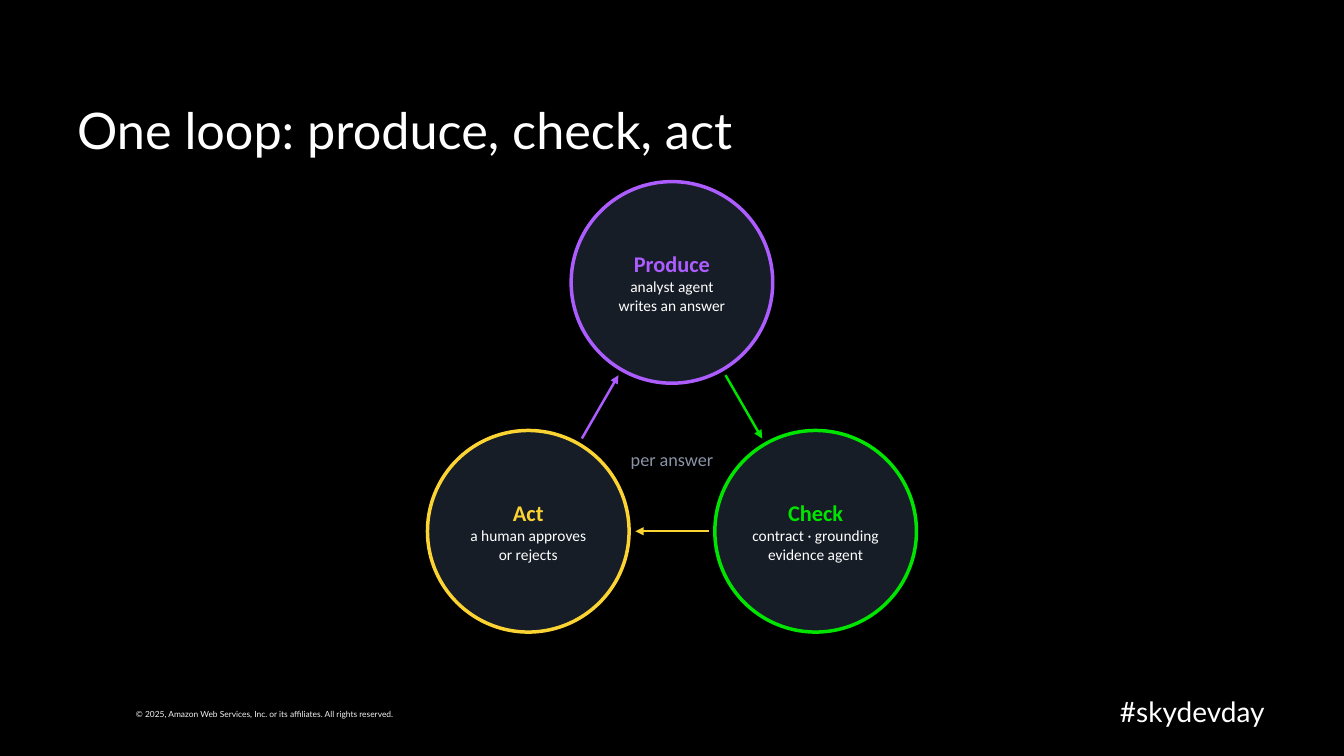
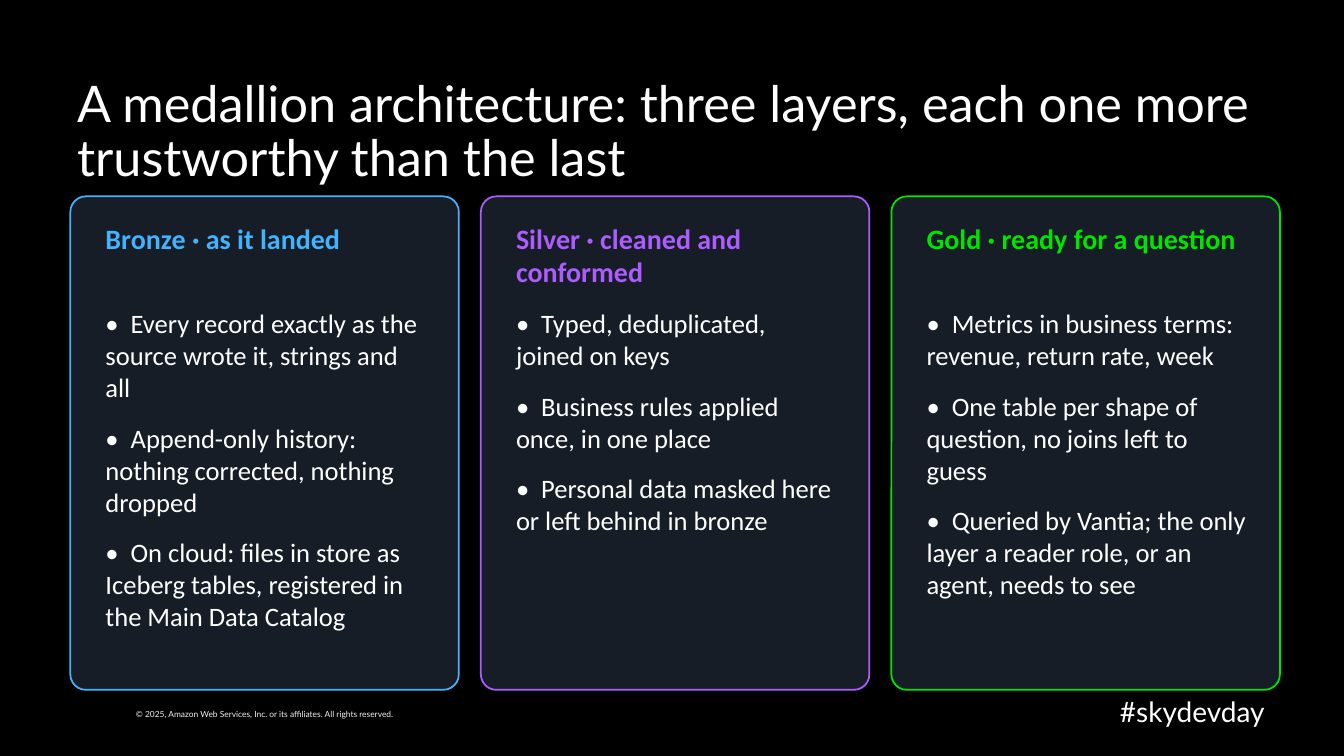
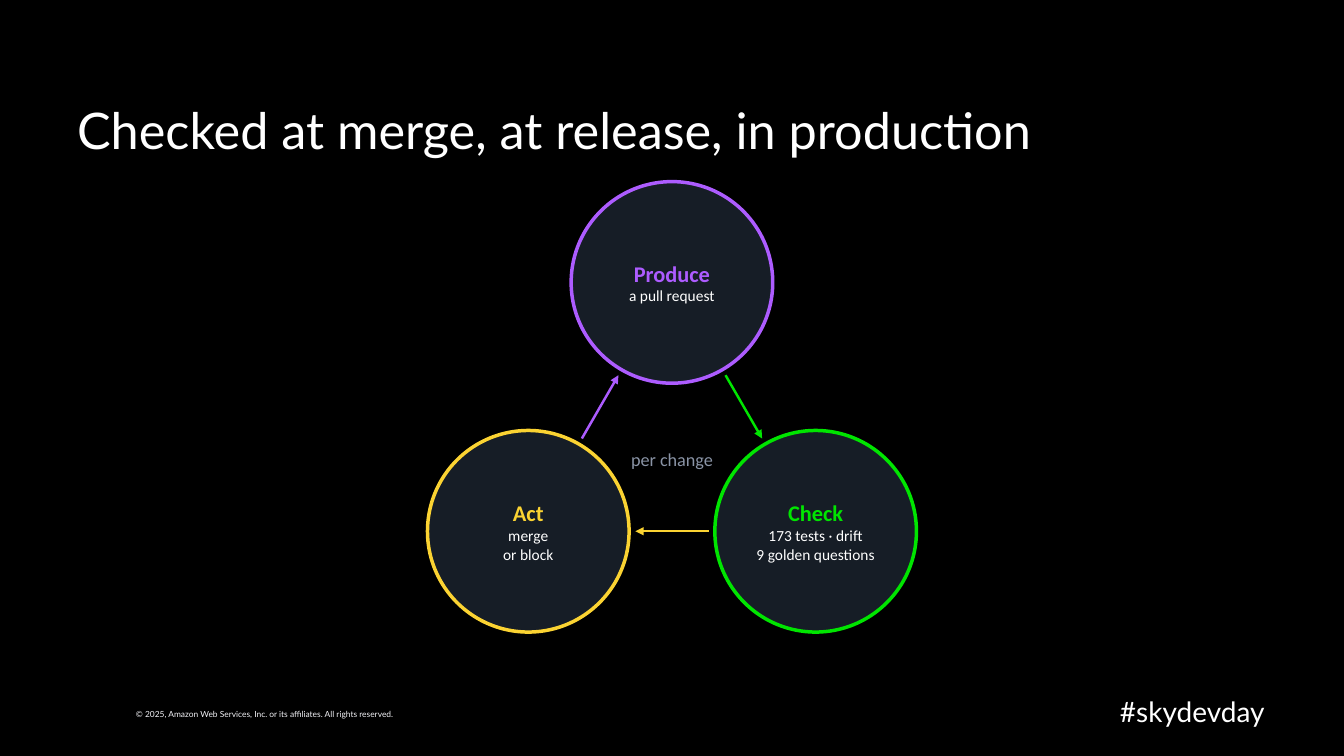
"""Build three dark slides: two produce-check-act loops and one medallion architecture."""
from dataclasses import dataclass
from math import cos, radians, sin

from lxml.etree import SubElement
from pptx import Presentation
from pptx.dml.color import RGBColor
from pptx.enum.shapes import MSO_CONNECTOR as CONN, MSO_SHAPE as SHAPE
from pptx.enum.text import MSO_ANCHOR as ANCHOR, PP_ALIGN as ALIGN
from pptx.oxml.ns import qn
from pptx.util import Emu, Pt

PX = 9525
LATO, CALIBRI = "Lato", "Calibri"
BLACK, WHITE, PANEL = "000000", "FFFFFF", "161D26"
PURPLE, GREEN, YELLOW, BLUE = "AD5CFF", "00E500", "FBD332", "41B3FF"
PALE, GREY = "F3F3F7", "8A94A6"

CENTER_X, CENTER_Y = 640, 427
RING, RADIUS, REACH = 158, 96, 102
CARD_LEFT, CARD_TOP, CARD_W, CARD_H, CARD_GAP = 67, 187, 370, 470, 21
CARD_PAD, BULLET_TAB = 24, 24


@dataclass(frozen=True)
class Stage:
    name: str
    color: str
    angle: int


@dataclass(frozen=True)
class Loop:
    title: str
    caption: str
    details: tuple[tuple[str, ...], ...]


@dataclass(frozen=True)
class Layer:
    heading: str
    color: str
    points: tuple[str, ...]


STAGES = (Stage("Produce", PURPLE, -90), Stage("Check", GREEN, 30), Stage("Act", YELLOW, 150))

ANSWER_LOOP = Loop(
    "One loop: produce, check, act",
    "per answer",
    (
        ("analyst agent", "writes an answer"),
        ("contract · grounding", "evidence agent"),
        ("a human approves", "or rejects"),
    ),
)
CHANGE_LOOP = Loop(
    "Checked at merge, at release, in production",
    "per change",
    (
        ("a pull request",),
        ("173 tests · drift", "9 golden questions"),
        ("merge", "or block"),
    ),
)
LAYERS = (
    Layer("Bronze · as it landed", BLUE, (
        "Every record exactly as the source wrote it, strings and all",
        "Append-only history: nothing corrected, nothing dropped",
        "On cloud: files in store as Iceberg tables, registered in the Main Data Catalog",
    )),
    Layer("Silver · cleaned and conformed", PURPLE, (
        "Typed, deduplicated, joined on keys",
        "Business rules applied once, in one place",
        "Personal data masked here or left behind in bronze",
    )),
    Layer("Gold · ready for a question", GREEN, (
        "Metrics in business terms: revenue, return rate, week",
        "One table per shape of question, no joins left to guess",
        "Queried by Vantia; the only layer a reader role, or an agent, needs to see",
    )),
)


def px(n: float) -> Emu:
    return Emu(round(n * PX))


def rgb(color: str) -> RGBColor:
    return RGBColor.from_string(color)


def add_run(p, text: str, *, size: int, color: str, font: str = CALIBRI, bold: bool = False) -> None:
    r = p.add_run()
    r.text = text
    r.font.name, r.font.size, r.font.bold = font, Pt(size), bold
    r.font.color.rgb = rgb(color)


def add_text(s, box: tuple[int, int, int, int], text: str, *, align=ALIGN.LEFT,
             anchor=ANCHOR.TOP, spacing: float = 1.0, **fmt) -> None:
    tf = s.shapes.add_textbox(*map(px, box)).text_frame
    tf.word_wrap = True
    tf.vertical_anchor = anchor
    p = tf.paragraphs[0]
    p.alignment, p.line_spacing = align, spacing
    add_run(p, text, **fmt)


def add_bullets(s, box: tuple[int, int, int, int], points: tuple[str, ...]) -> None:
    tf = s.shapes.add_textbox(*map(px, box)).text_frame
    tf.word_wrap = True
    for i, point in enumerate(points):
        p = tf.add_paragraph() if i else tf.paragraphs[0]
        tabs = SubElement(p._p.get_or_add_pPr(), qn("a:tabLst"))
        SubElement(tabs, qn("a:tab"), pos=str(px(BULLET_TAB)), algn="l")
        if i:
            p.space_before = Pt(13.3)
        add_run(p, f"•\t{point}", size=19, color=WHITE)


def add_panel(s, kind, box: tuple[float, float, float, float], color: str, width: float):
    sp = s.shapes.add_shape(kind, *map(px, box))
    sp.shadow.inherit = False
    sp.fill.solid()
    sp.fill.fore_color.rgb = rgb(PANEL)
    sp.line.color.rgb = rgb(color)
    sp.line.width = Pt(width)
    return sp


def add_arrow(s, start: tuple[float, float], end: tuple[float, float], color: str) -> None:
    c = s.shapes.add_connector(CONN.STRAIGHT, *map(px, (*start, *end)))
    c.line.color.rgb = rgb(color)
    c.line.width = Pt(1.75)
    SubElement(c.line._get_or_add_ln(), qn("a:tailEnd"), type="triangle")
    SubElement(c._element.spPr, qn("a:effectLst"))


def add_slide(prs, title: str):
    s = prs.slides.add_slide(prs.slide_layouts[6])
    add_text(s, (120, 671, 277, 19),
             "© 2025, Amazon Web Services, Inc. or its affiliates. All rights reserved.",
             size=6, color=PALE, font=LATO)
    add_text(s, (62, 660, 1152, 38), "#skydevday", align=ALIGN.RIGHT, spacing=0.9,
             size=20, color=WHITE, font=LATO)
    add_text(s, (64, 96, 1152, 62), title, anchor=ANCHOR.MIDDLE, spacing=0.9,
             size=36, color=WHITE, font=LATO)
    return s


def stage_center(stage: Stage) -> tuple[float, float]:
    a = radians(stage.angle)
    return CENTER_X + RING * cos(a), CENTER_Y + RING * sin(a)


def add_stage(s, stage: Stage, details: tuple[str, ...]) -> None:
    x, y = stage_center(stage)
    sp = add_panel(s, SHAPE.OVAL, (x - RADIUS, y - RADIUS, 2 * RADIUS, 2 * RADIUS), stage.color, 2.5)
    tf = sp.text_frame
    tf.word_wrap = True
    tf.vertical_anchor = ANCHOR.MIDDLE
    tf.margin_left = tf.margin_right = tf.margin_top = tf.margin_bottom = px(5)
    p = tf.paragraphs[0]
    p.alignment = ALIGN.CENTER
    add_run(p, stage.name, size=16, color=stage.color, bold=True)
    for detail in details:
        p = tf.add_paragraph()
        p.alignment = ALIGN.CENTER
        add_run(p, detail, size=11, color=WHITE)


def add_loop_slide(prs, loop: Loop) -> None:
    s = add_slide(prs, loop.title)
    for stage, details in zip(STAGES, loop.details):
        add_stage(s, stage, details)
    for stage, target in zip(STAGES, STAGES[1:] + STAGES[:1]):
        (x1, y1), (x2, y2) = stage_center(stage), stage_center(target)
        k = REACH / (RING * 3 ** 0.5)
        dx, dy = k * (x2 - x1), k * (y2 - y1)
        add_arrow(s, (x1 + dx, y1 + dy), (x2 - dx, y2 - dy), target.color)
    add_text(s, (544, 422, 192, 38), loop.caption, align=ALIGN.CENTER, size=13, color=GREY)


def add_layers_slide(prs) -> None:
    s = add_slide(prs, "A medallion architecture: three layers, each one more trustworthy than the last")
    for i, layer in enumerate(LAYERS):
        x = CARD_LEFT + i * (CARD_W + CARD_GAP)
        card = add_panel(s, SHAPE.ROUNDED_RECTANGLE, (x, CARD_TOP, CARD_W, CARD_H), layer.color, 1.25)
        card.adjustments[0] = 0.04
        add_text(s, (x + CARD_PAD, 206, 326, 86), layer.heading, size=20, color=layer.color, bold=True)
        add_bullets(s, (x + CARD_PAD, 288, 326, 355), layer.points)


def main() -> None:
    prs = Presentation()
    prs.slide_width, prs.slide_height = px(1280), px(720)
    bg = prs.slide_master.background.fill
    bg.solid()
    bg.fore_color.rgb = rgb(BLACK)
    add_loop_slide(prs, ANSWER_LOOP)
    add_layers_slide(prs)
    add_loop_slide(prs, CHANGE_LOOP)
    prs.save("out.pptx")


if __name__ == "__main__":
    main()
